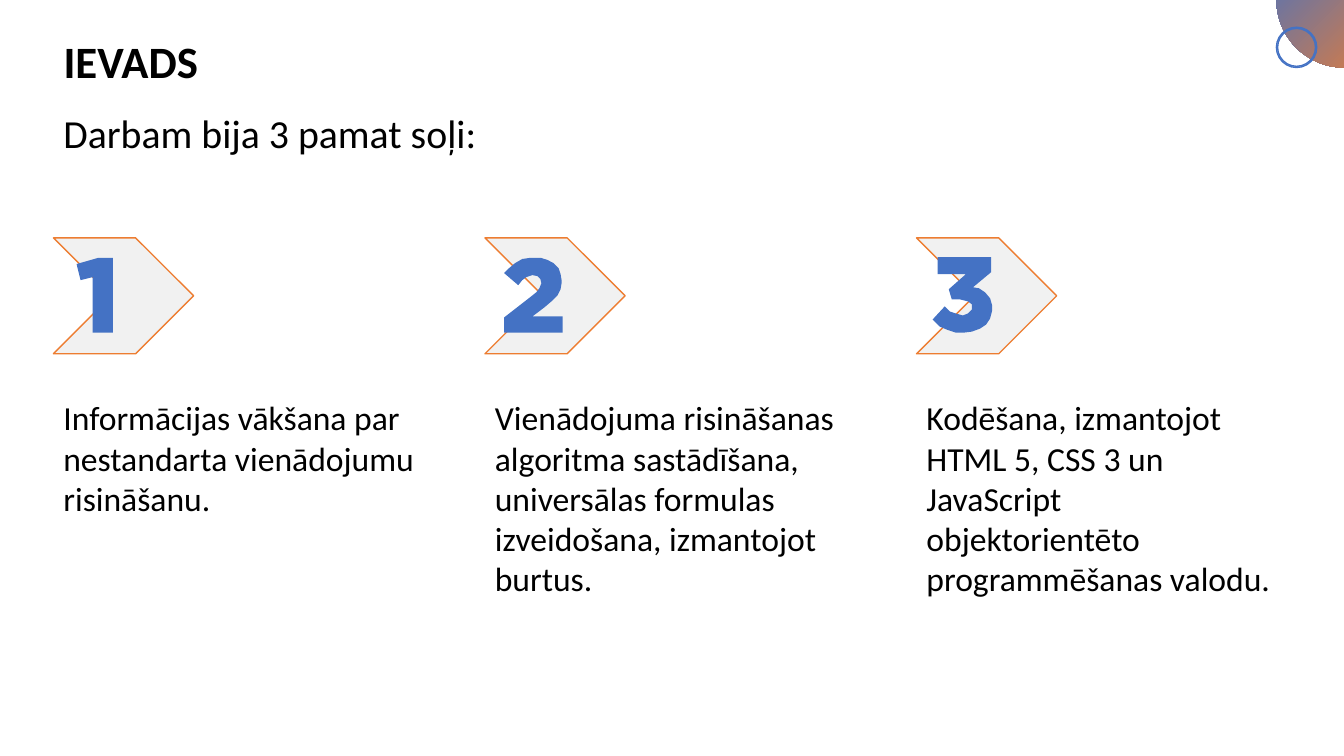
from dataclasses import dataclass

from lxml.etree import SubElement
from pptx import Presentation
from pptx.dml.color import RGBColor
from pptx.enum.shapes import MSO_SHAPE
from pptx.enum.text import MSO_ANCHOR, MSO_AUTO_SIZE, PP_ALIGN
from pptx.oxml.ns import qn
from pptx.util import Inches, Pt

# Content: numeral outlines are in hundredths of an inch from the chevron's corner
TITLE = "IEVADS"
SUBTITLE = "Darbam bija 3 pamat soļi:"
ONE = [(44, 20), (59, 20), (59, 94), (39, 94), (39, 39), (27, 42), (23, 26)]
TWO = [
    (49, 20), (56, 20), (62, 22), (68, 25), (73, 30), (75, 36), (76, 42), (76, 45),
    (75, 51), (72, 57), (66, 63), (59, 69), (47, 78), (77, 78), (77, 94), (19, 94),
    (19, 79), (46, 58), (51, 54), (54, 50), (56, 45), (55, 41), (52, 38), (47, 37),
    (41, 39), (37, 42), (33, 47), (19, 35), (24, 30), (30, 25), (37, 21), (44, 20),
]
THREE = [
    (21, 19), (74, 19), (74, 34), (56, 49), (62, 50), (68, 54), (73, 60), (75, 67),
    (75, 72), (73, 80), (69, 86), (63, 90), (55, 93), (47, 94), (39, 94), (30, 91),
    (23, 88), (16, 81), (28, 68), (33, 73), (39, 75), (46, 77), (51, 75), (55, 71),
    (55, 66), (51, 63), (43, 61), (35, 61), (32, 51), (49, 36), (21, 36),
]
STEPS = [
    (ONE, "Informācijas vākšana par nestandarta vienādojumu risināšanu.", 1.31),
    (TWO, "Vienādojuma risināšanas algoritma sastādīšana, universālas formulas "
          "izveidošana, izmantojot burtus.", 2.12),
    (THREE, "Kodēšana, izmantojot HTML 5, CSS 3 un JavaScript objektorientēto "
            "programmēšanas valodu.", 2.12),
]


@dataclass(frozen=True)
class Theme:
    font: str = "Calibri"
    text: RGBColor = RGBColor(0, 0, 0)
    blue: RGBColor = RGBColor(0x44, 0x72, 0xC4)
    orange: RGBColor = RGBColor(0xED, 0x7D, 0x31)
    grey: RGBColor = RGBColor(0xE6, 0xE6, 0xE6)
    grey_opacity: int = 53
    title_size: float = 32
    subtitle_size: float = 28.4
    body_size: float = 24
    line_width: float = 1


THEME = Theme()

# Grid in inches
SLIDE_WIDTH, SLIDE_HEIGHT = 13.33, 7.5
MARGIN, COLUMN_STEP, COLUMN_WIDTH = 0.53, 4.28, 3.71
CHEVRON_TOP, CHEVRON_WIDTH, CHEVRON_HEIGHT = 2.36, 1.39, 1.15
BODY_TOP = 3.89
CORNER_RADIUS = 0.67


def write(shape, text, size, bold=False, anchor=MSO_ANCHOR.TOP):
    frame = shape.text_frame
    frame.text = text
    frame.word_wrap = True
    frame.auto_size = MSO_AUTO_SIZE.SHAPE_TO_FIT_TEXT
    frame.vertical_anchor = anchor
    paragraph = frame.paragraphs[0]
    paragraph.alignment = PP_ALIGN.LEFT
    font = paragraph.font
    font.name, font.size, font.bold = THEME.font, Pt(size), bold
    font.color.rgb = THEME.text


def add_text(slide, box, text, size, anchor=MSO_ANCHOR.TOP):
    shape = slide.shapes.add_textbox(*map(Inches, box))
    write(shape, text, size, anchor=anchor)


def add_preset(slide, preset, box, line_color=None):
    shape = slide.shapes.add_shape(preset, *map(Inches, box))
    shape.shadow.inherit = False
    if line_color is None:
        shape.line.fill.background()
    else:
        shape.line.color.rgb = line_color
        shape.line.width = Pt(THEME.line_width)
    return shape


def add_corner(slide):
    diameter = 2 * CORNER_RADIUS
    disc = add_preset(slide, MSO_SHAPE.OVAL,
                      (SLIDE_WIDTH - CORNER_RADIUS, -CORNER_RADIUS, diameter, diameter))
    disc.fill.gradient()
    disc.fill.gradient_angle = 315
    for stop, color in zip(disc.fill.gradient_stops, (THEME.blue, THEME.orange)):
        stop.color.rgb = color
    ring = add_preset(slide, MSO_SHAPE.DONUT, (12.66, 0.27, 0.4, 0.4), THEME.blue)
    ring.adjustments[0] = 0.03
    ring.fill.background()


def add_chevron(slide, left):
    chevron = add_preset(slide, MSO_SHAPE.CHEVRON,
                         (left, CHEVRON_TOP, CHEVRON_WIDTH, CHEVRON_HEIGHT), THEME.orange)
    chevron.fill.solid()
    chevron.fill.fore_color.rgb = THEME.grey
    color = chevron.fill._xPr.find(qn("a:solidFill")).find(qn("a:srgbClr"))
    SubElement(color, qn("a:alpha"), val=str(THEME.grey_opacity * 1000))


def add_numeral(slide, outline, left):
    builder = slide.shapes.build_freeform(*outline[0], scale=Inches(0.01))
    builder.add_line_segments(outline[1:], close=True)
    numeral = builder.convert_to_shape(Inches(left), Inches(CHEVRON_TOP))
    numeral.shadow.inherit = False
    numeral.fill.solid()
    numeral.fill.fore_color.rgb = THEME.blue
    numeral.line.fill.background()


def main():
    presentation = Presentation()
    presentation.slide_width = Inches(SLIDE_WIDTH)
    presentation.slide_height = Inches(SLIDE_HEIGHT)
    slide = presentation.slides.add_slide(presentation.slide_layouts[5])

    # Heading
    title = slide.shapes.title
    title.left, title.top, title.width, title.height = map(Inches, (MARGIN, 0.28, 10.5, 0.64))
    write(title, TITLE, THEME.title_size, bold=True)
    add_text(slide, (MARGIN, 1.02, 7.99, 0.58), SUBTITLE, THEME.subtitle_size,
             MSO_ANCHOR.BOTTOM)

    # Corner decoration
    add_corner(slide)

    # Steps, one per column
    for column, (outline, text, height) in enumerate(STEPS):
        left = MARGIN + column * COLUMN_STEP
        add_chevron(slide, left)
        add_numeral(slide, outline, left)
        add_text(slide, (left, BODY_TOP, COLUMN_WIDTH, height), text, THEME.body_size)

    presentation.save("out.pptx")


if __name__ == "__main__":
    main()
